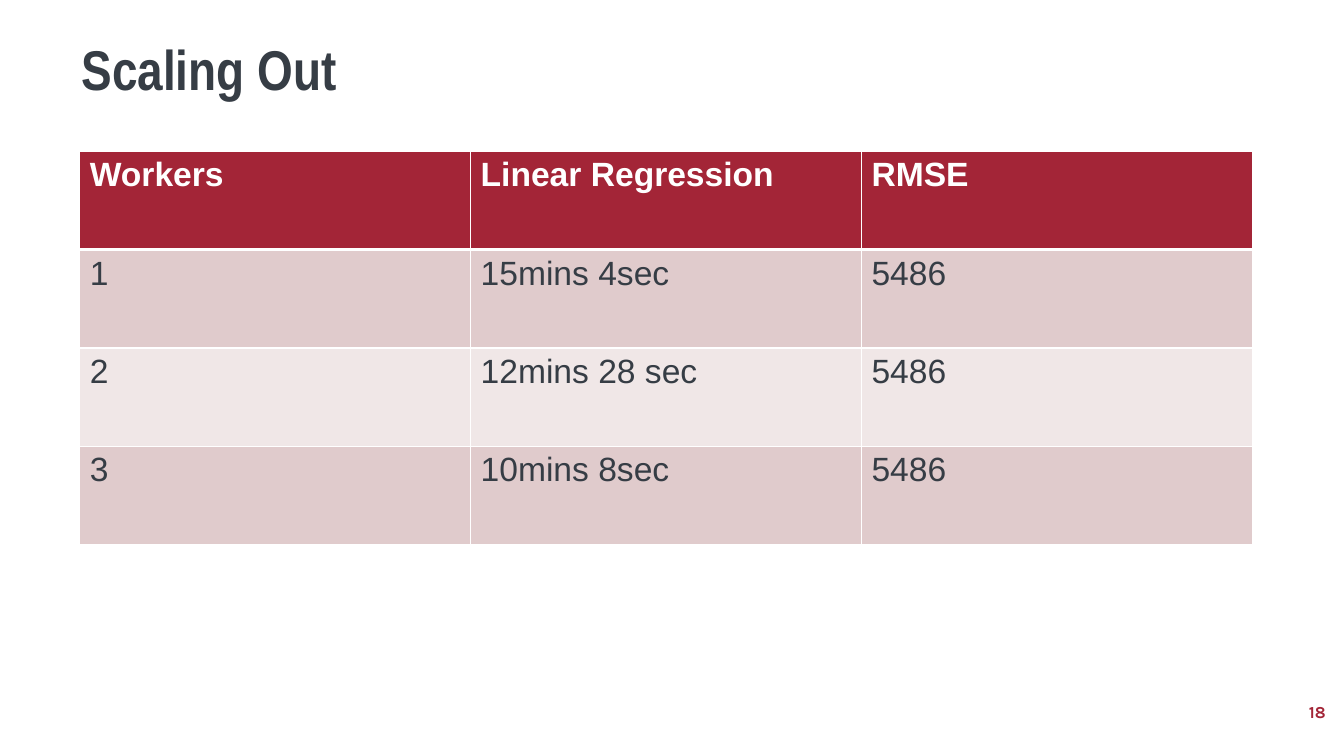
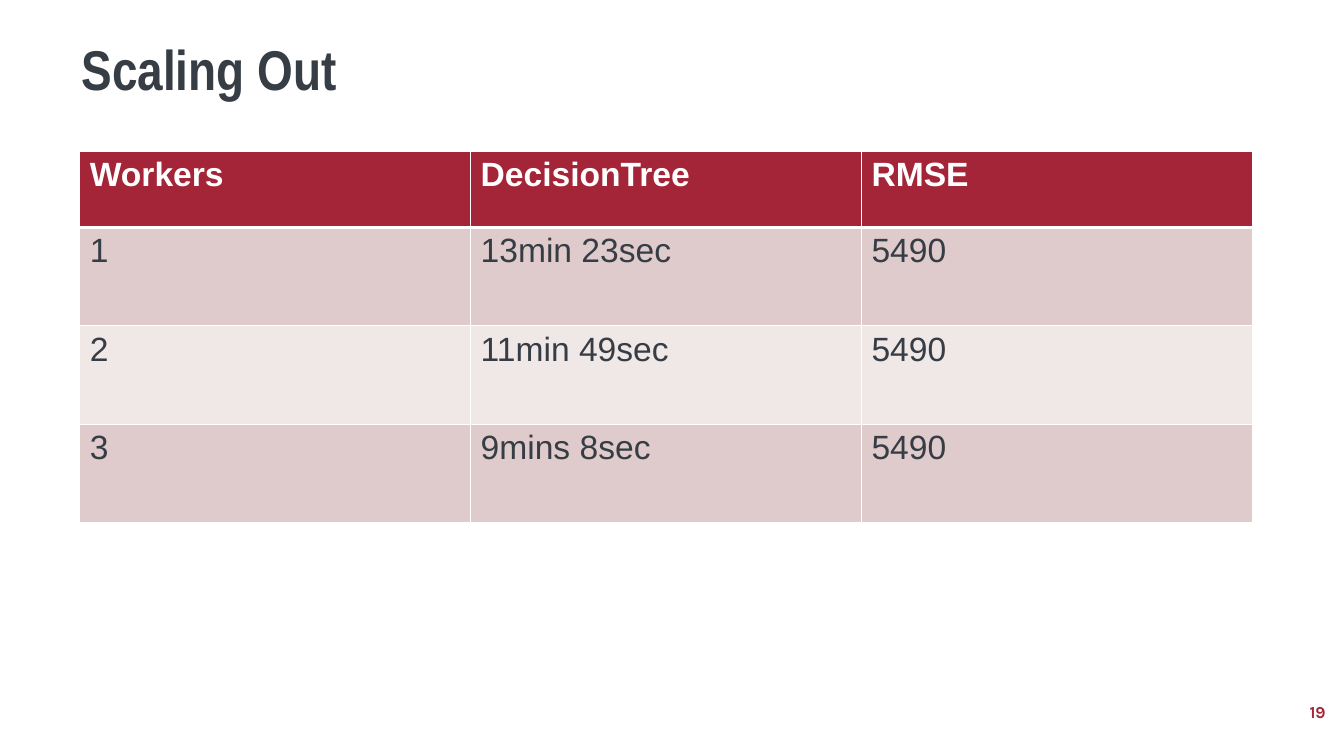
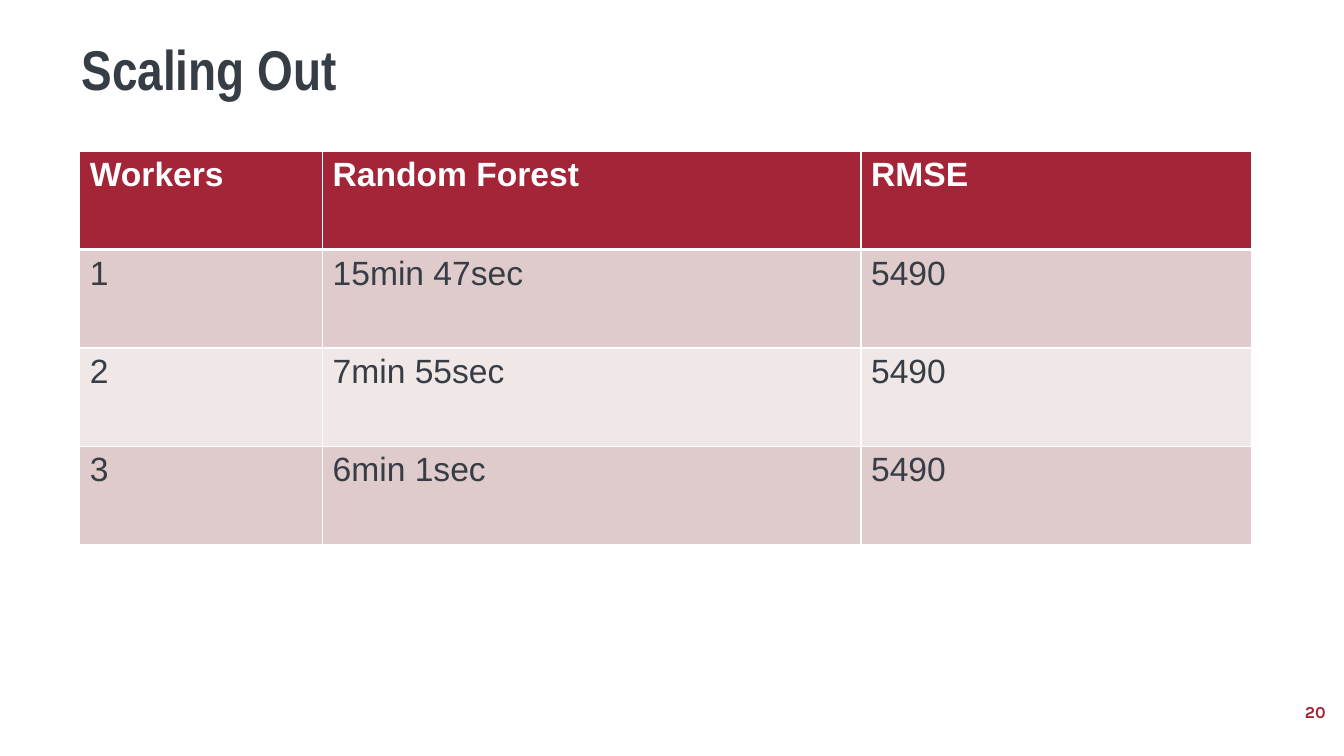
from dataclasses import dataclass

from pptx import Presentation
from pptx.dml.color import RGBColor
from pptx.enum import text as t
from pptx.oxml import parse_xml
from pptx.oxml.ns import nsdecls
from pptx.util import Cm, Pt

RED, INK, WHITE = "A32537", "363D45", "FFFFFF"
BANDS = ("E0CBCC", "F0E7E7")
FIRST_PAGE = 18
ROW = 2.48
THIRDS = (9.85, 9.85, 9.85)


@dataclass(frozen=True)
class Style:
    font: str
    size: int
    color: str
    bold: bool = False


TITLE = Style("Arial Narrow", 40, INK, True)
PAGE = Style("Karla", 12, RED, True)
HEAD = Style("Arial", 24, WHITE, True)
BODY = Style("Arial", 24, INK)


@dataclass(frozen=True)
class Trial:
    """Run times of one model by number of workers; lengths in cm."""
    model: str
    times: tuple[str, ...]
    rmse: str
    cols: tuple[float, ...] = THIRDS
    head: float = ROW

    def rows(self) -> list[tuple[str, ...]]:
        lines = [(str(n), time, self.rmse) for n, time in enumerate(self.times, 1)]
        return [("Workers", self.model, "RMSE"), *lines]


TRIALS = (
    Trial("Linear Regression", ("15mins 4sec", "12mins 28 sec", "10mins 8sec"), "5486"),
    Trial("DecisionTree", ("13min 23sec", "11min 49sec", "9mins 8sec"), "5490", head=1.92),
    Trial("Random Forest", ("15min 47sec", "7min 55sec", "6min 1sec"), "5490",
          cols=(6.12, 13.57, 9.85)),
)


def paint(fill, color: str) -> None:
    fill.solid()
    fill.fore_color.rgb = RGBColor.from_string(color)


def write(frame, words: str, style: Style) -> None:
    frame.text = words
    font = frame.paragraphs[0].runs[0].font
    font.name, font.size, font.bold = style.font, Pt(style.size), style.bold
    paint(font.fill, style.color)


def place(shape, left: float, top: float, width: float, height: float) -> None:
    shape.left, shape.top = Cm(left), Cm(top)
    shape.width, shape.height = Cm(width), Cm(height)


def edge(cell, row: int) -> None:
    """Draw white cell borders, with a thick rule below the header row."""
    widths = {"L": 1, "R": 1, "T": 3 if row == 1 else 1, "B": 3 if row == 0 else 1}
    props = cell._tc.get_or_add_tcPr()
    for side, width in widths.items():
        props.append(parse_xml(
            f'<a:ln{side} {nsdecls("a")} w="{Pt(width)}"><a:solidFill>'
            f'<a:srgbClr val="{WHITE}"/></a:solidFill></a:ln{side}>'))


def add_title(slide, words: str) -> None:
    title = slide.shapes.title
    place(title, 1.8, 0.94, 29.74, 2.03)
    frame = title.text_frame
    write(frame, words, TITLE)
    frame.auto_size = t.MSO_AUTO_SIZE.NONE
    frame.vertical_anchor = t.MSO_ANCHOR.TOP
    line = frame.paragraphs[0]
    line.alignment, line.line_spacing = t.PP_ALIGN.LEFT, 0.9


def add_page(slide, number: int) -> None:
    box = slide.shapes.add_textbox(Cm(26.04), Cm(17.42), Cm(7.62), Cm(1.02))
    frame = box.text_frame
    write(frame, str(number), PAGE)
    frame.word_wrap = True
    frame.vertical_anchor = t.MSO_ANCHOR.MIDDLE
    frame.paragraphs[0].alignment = t.PP_ALIGN.RIGHT


def add_grid(slide, trial: Trial) -> None:
    rows = trial.rows()
    high = trial.head + ROW * len(trial.times)
    grid = slide.shapes.add_table(len(rows), len(trial.cols), Cm(2.01), Cm(3.81),
                                  Cm(sum(trial.cols)), Cm(high)).table
    for col, width in zip(grid.columns, trial.cols):
        col.width = Cm(width)
    for r, row in enumerate(rows):
        grid.rows[r].height = Cm(ROW if r else trial.head)
        for c, words in enumerate(row):
            cell = grid.cell(r, c)
            edge(cell, r)
            paint(cell.fill, BANDS[(r - 1) % 2] if r else RED)
            write(cell.text_frame, words, BODY if r else HEAD)


def main() -> None:
    deck = Presentation()
    deck.slide_width, deck.slide_height = Cm(33.87), Cm(19.05)
    for number, trial in enumerate(TRIALS, FIRST_PAGE):
        slide = deck.slides.add_slide(deck.slide_layouts.get_by_name("Title Only"))
        add_title(slide, "Scaling Out")
        add_page(slide, number)
        add_grid(slide, trial)
    deck.save("out.pptx")


if __name__ == "__main__":
    main()
